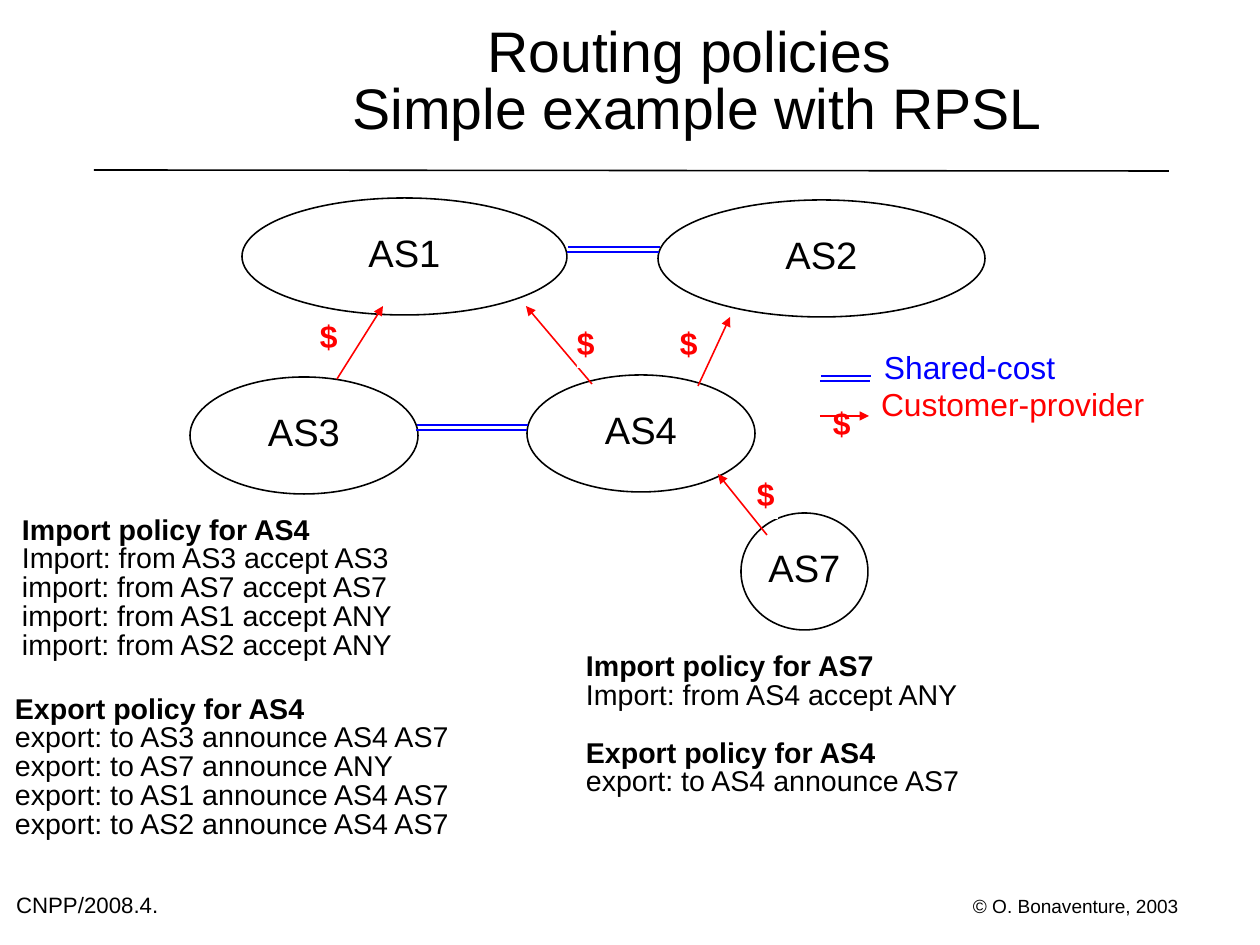
"""Slide on routing policies: a graph of networks with their RPSL rules."""
import pptx
import pptx.util
import pptx.dml.color
import pptx.enum.shapes
import pptx.enum.text
import pptx.oxml
import pptx.oxml.ns

SCALE = 8000
SIZE = (1260, 945)
COLORS = {"ink": "000000", "pay": "FF0000", "peer": "0000FF", "paper": "FFFFFF"}

TITLE = ["Routing policies ", "Simple example with RPSL"]
NODES = [
    ("AS1", (242, 198, 325, 117)),
    ("AS2", (658, 200, 327, 117)),
    ("AS3", (190, 377, 228, 117)),
    ("AS4", (527, 375, 228, 117)),
    ("AS7", (741, 513, 127, 117)),
]
PAYS = [
    ((337, 379, 383, 306), (320, 323)),
    ((592, 384, 526, 306), (577, 330)),
    ((698, 386, 730, 317), (680, 330)),
    ((767, 535, 718, 474), (757, 481)),
]
KEY = ((820, 416, 869, 416), (833, 410))
PEERS = [(567, 252, 659), (416, 430, 527), (820, 381, 870)]
GAP = 5
LABELS = [
    ("Shared-cost", (884, 354, 180, 32), 20, "peer"),
    ("Customer-provider", (881, 391, 275, 32), 20, "pay"),
    ("CNPP/2008.4.", (16, 896, 192, 27), 14, "ink"),
    ("© O. Bonaventure, 2003", (973, 898, 215, 19), 12, "ink"),
]
RULES = [
    ((22, 517, 385, 144), [
        ("Import policy for AS4", [
            "Import: from AS3 accept AS3",
            "import: from AS7 accept AS7",
            "import: from AS1 accept ANY",
            "import: from AS2 accept ANY"]),
    ]),
    ((15, 696, 450, 144), [
        ("Export policy for AS4", [
            "export: to AS3 announce AS4 AS7",
            "export: to AS7 announce ANY",
            "export: to AS1 announce AS4 AS7",
            "export: to AS2 announce AS4 AS7"]),
    ]),
    ((586, 654, 385, 144), [
        ("Import policy for AS7", ["Import: from AS4 accept ANY"]),
        ("Export policy for AS4", ["export: to AS4 announce AS7"]),
    ]),
]

Pt = pptx.util.Pt
ALIGN = pptx.enum.text.PP_ALIGN
ANCHOR = pptx.enum.text.MSO_ANCHOR
KIND = pptx.enum.shapes.MSO_SHAPE
LINK = pptx.enum.shapes.MSO_CONNECTOR
FRAME = {"word_wrap": True, "margin_left": 0, "margin_right": 0,
         "margin_top": 0, "margin_bottom": 0}


def emu(box):
    return [n * SCALE for n in box]


def tint(name):
    return pptx.dml.color.RGBColor.from_string(COLORS[name])


def assign(item, values):
    for key, value in values.items():
        setattr(item, key, value)


def write(shape, lines, size, color="ink", mid=False):
    """Fill a shape with (text, bold, space before) lines."""
    frame = shape.text_frame
    assign(frame, FRAME)
    frame.vertical_anchor = ANCHOR.MIDDLE if mid else ANCHOR.TOP
    for i, (text, bold, space) in enumerate(lines):
        para = frame.add_paragraph() if i else frame.paragraphs[0]
        assign(para, {"line_spacing": 0.84, "space_before": Pt(space),
                      "alignment": ALIGN.CENTER if mid else ALIGN.LEFT})
        run = para.add_run()
        run.text = text
        assign(run.font, {"name": "Arial", "size": Pt(size), "bold": bold})
        run.font.color.rgb = tint(color)


def label(shapes, box, lines, size, color="ink", mid=False):
    shape = shapes.add_textbox(*emu(box))
    write(shape, lines, size, color, mid)
    return shape


def link(shapes, ends, color, arrow=False):
    line = shapes.add_connector(LINK.STRAIGHT, *emu(ends))
    line.line.width = Pt(1)
    line.line.color.rgb = tint(color)
    props = line._element.spPr
    tag = pptx.oxml.ns.nsdecls("a")
    if arrow:
        stroke = props.find(pptx.oxml.ns.qn("a:ln"))
        stroke.append(pptx.oxml.parse_xml(f'<a:tailEnd {tag} type="triangle"/>'))
    props.append(pptx.oxml.parse_xml(f"<a:effectLst {tag}/>"))


def node(shapes, name, box):
    oval = shapes.add_shape(KIND.OVAL, *emu(box))
    oval.shadow.inherit = False
    oval.fill.background()
    oval.line.color.rgb = tint("ink")
    oval.line.width = Pt(1)
    write(oval, [(name, False, 0)], 24, mid=True)


def price(shapes, spot):
    return label(shapes, (*spot, 21, 38), [("$", True, 0)], 20, "pay")


def main():
    deck = pptx.Presentation()
    deck.slide_width, deck.slide_height = emu(SIZE)
    shapes = deck.slides.add_slide(deck.slide_layouts[6]).shapes

    link(shapes, (94, 170, 1169, 171), "ink")
    label(shapes, (214, 0, 966, 167), [(t, False, 0) for t in TITLE], 36, mid=True)
    for name, box in NODES:
        node(shapes, name, box)

    for ends, spot in PAYS:
        link(shapes, ends, "pay", True)
    for ends, spot in PAYS:
        mark = price(shapes, spot)
        mark.fill.solid()
        mark.fill.fore_color.rgb = tint("paper")
    price(shapes, KEY[1])
    link(shapes, KEY[0], "pay", True)

    for left, y, right in PEERS:
        for i in range(2):
            top = y - i * GAP
            link(shapes, (left + i, top, right + i, top), "peer")

    for text, box, size, color in LABELS:
        label(shapes, box, [(text, False, 0)], size, color)
    for box, groups in RULES:
        lines = []
        for head, body in groups:
            lines.append((head, True, 18 if lines else 0))
            lines += [(text, False, 0) for text in body]
        label(shapes, box, lines, 18)

    deck.save("out.pptx")


if __name__ == "__main__":
    main()
